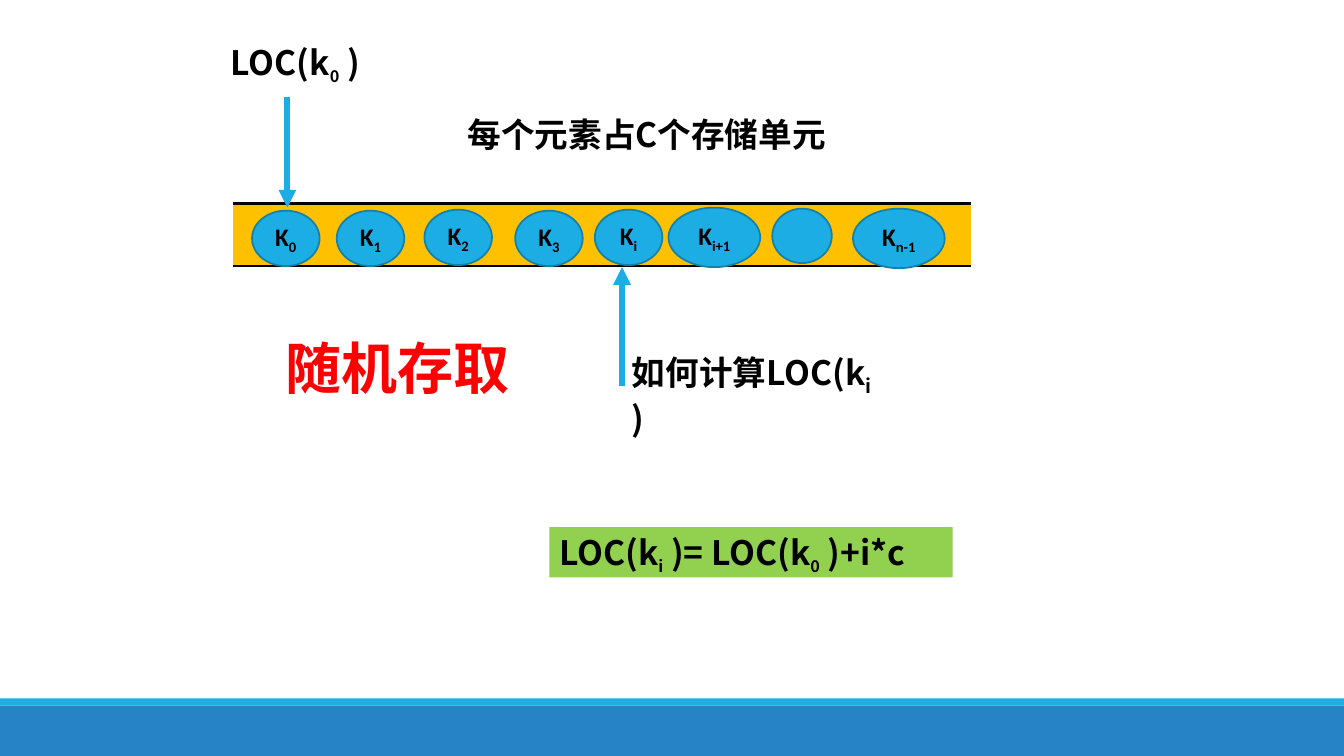
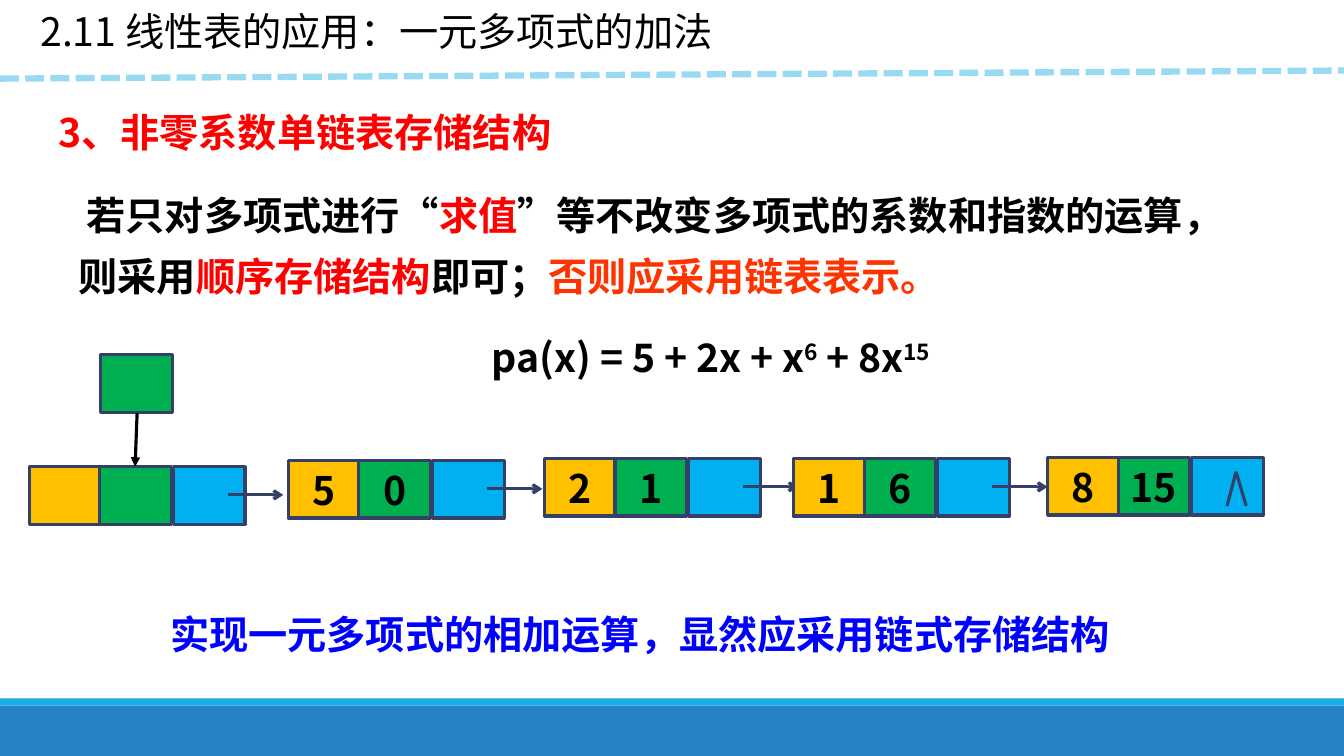
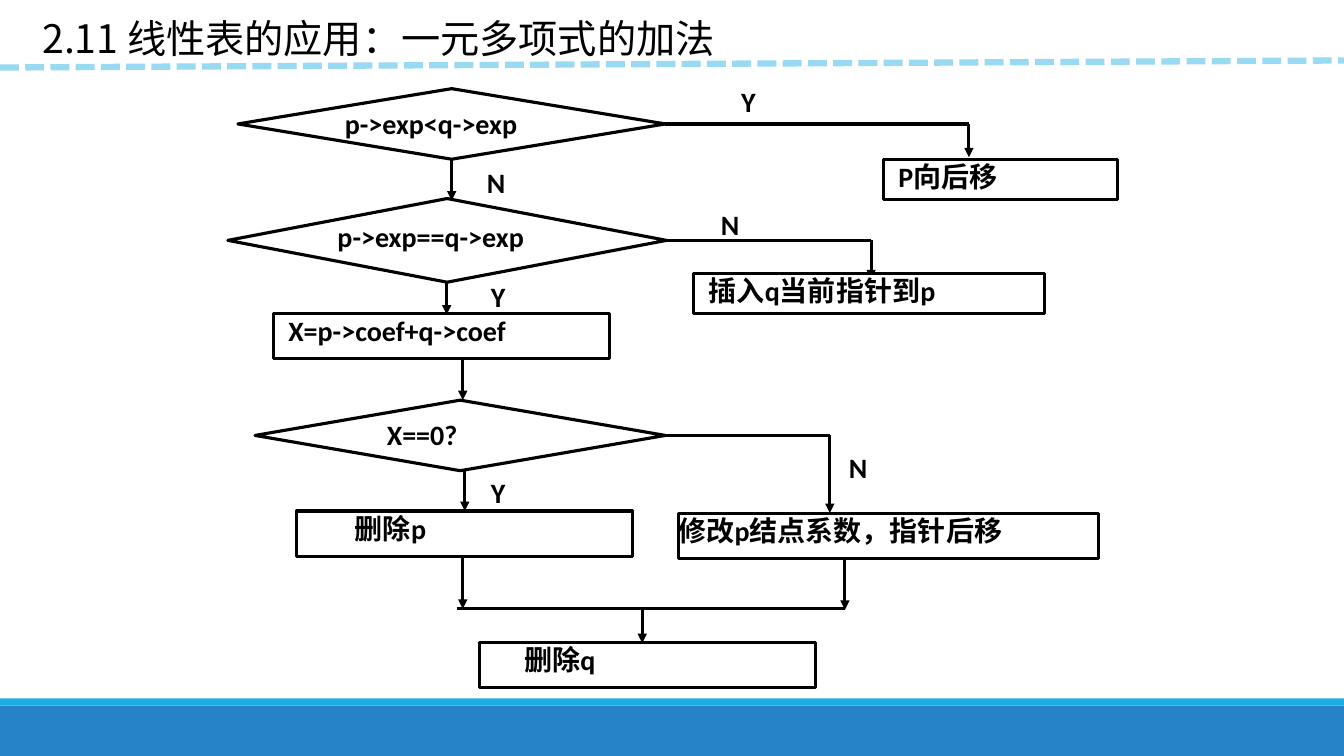
from dataclasses import dataclass

from lxml import etree
from pptx import Presentation
from pptx.dml.color import RGBColor
from pptx.enum.dml import MSO_LINE
from pptx.enum.shapes import MSO_CONNECTOR, MSO_SHAPE
from pptx.enum.text import MSO_ANCHOR, MSO_AUTO_SIZE, PP_ALIGN
from pptx.oxml.ns import qn
from pptx.util import Inches, Pt

RECTANGLE, OVAL, DIAMOND = MSO_SHAPE.RECTANGLE, MSO_SHAPE.OVAL, MSO_SHAPE.DIAMOND
STRAIGHT, DASHED = MSO_CONNECTOR.STRAIGHT, MSO_LINE.SQUARE_DOT
TOP, MIDDLE = MSO_ANCHOR.TOP, MSO_ANCHOR.MIDDLE
LEFT, CENTER = PP_ALIGN.LEFT, PP_ALIGN.CENTER
FIXED = MSO_AUTO_SIZE.NONE
PLAIN_TABLE = "{2D5ABB26-0587-4C30-8999-92F81FD0307C}"


@dataclass(frozen=True)
class Theme:
    """Colours, fonts and sizes shared by the slides."""

    width: float = 13.33
    height: float = 7.5
    black: str = "000000"
    white: str = "FFFFFF"
    red: str = "FF0000"
    orange_red: str = "FF3300"
    blue: str = "0000FF"
    band: str = "2683C6"
    accent: str = "1CADE4"
    accent_edge: str = "1580A9"
    divider: str = "99DAF3"
    amber: str = "FFC000"
    green: str = "00B050"
    sky: str = "00B0F0"
    lime: str = "92D050"
    navy: str = "344068"
    cjk_font: str = "Noto Sans CJK SC"
    latin_font: str = "Calibri"
    element_size: int = 18
    flow_size: int = 20
    note_size: int = 24
    text_size: int = 28
    banner_size: int = 40


THEME = Theme()
ELEMENT_TEXT = {"size": THEME.element_size, "font": THEME.latin_font}
FLOW_TEXT = {"size": THEME.flow_size, "font": THEME.latin_font}
NOTE_TEXT = {"size": THEME.note_size}
BODY_TEXT = {"size": THEME.text_size}
SUB = {"baseline": -25}
SMALL_SUB = {"baseline": -25, "size": THEME.flow_size}
SUPER = {"baseline": 30}
RED = {"color": THEME.red}


def apply(target, formats):
    """Set each attribute of target named in formats."""
    for attribute, value in formats.items():
        setattr(target, attribute, value)


def write(frame, runs, text, anchor=TOP, align=LEFT, spacing=1.0, indent=0, margin=None):
    """Fill a text frame with one paragraph of runs."""
    apply(frame, {"word_wrap": True, "auto_size": FIXED, "vertical_anchor": anchor})
    if margin is not None:
        sides = ("left", "right", "top", "bottom")
        apply(frame, {f"margin_{side}": Inches(margin) for side in sides})
    paragraph = frame.paragraphs[0]
    properties = paragraph._p.get_or_add_pPr()
    properties.set("marL", "0")
    properties.set("indent", str(Inches(indent)))
    etree.SubElement(properties, qn("a:buNone"))
    apply(paragraph, {"alignment": align, "line_spacing": spacing, "space_before": Pt(0)})
    for wording, changes in runs:
        look = {"font": THEME.cjk_font, "color": THEME.black, "bold": True, **text, **changes}
        run = paragraph.add_run()
        run.text = wording
        apply(run.font, {"size": Pt(look["size"]), "bold": look["bold"], "name": look["font"]})
        run.font.color.rgb = RGBColor.from_string(look["color"])
        run_properties = run._r.get_or_add_rPr()
        etree.SubElement(run_properties, qn("a:ea"), typeface=THEME.cjk_font)
        if "baseline" in look:
            run_properties.set("baseline", str(look["baseline"] * 1000))


def place(shape, box):
    """Move and size a shape to a box in inches."""
    apply(shape, dict(zip(("left", "top", "width", "height"), map(Inches, box))))


@dataclass
class Region:
    """A part of a slide whose contents are placed from its top left corner."""

    shapes: object
    left: float = 0
    top: float = 0

    def box(self, left, top, width, height):
        """Turn a box in the region into lengths on the slide."""
        return [Inches(n) for n in (self.left + left, self.top + top, width, height)]

    def shape(self, kind, box, fill, edge=None, weight=2.25):
        """Add a flat preset shape."""
        shape = self.shapes.add_shape(kind, *self.box(*box))
        shape.shadow.inherit = False
        shape.fill.solid()
        shape.fill.fore_color.rgb = RGBColor.from_string(fill)
        if edge:
            shape.line.color.rgb = RGBColor.from_string(edge)
            shape.line.width = Pt(weight)
        else:
            shape.line.fill.background()
        return shape

    def text(self, box, runs, text, **layout):
        """Add a text box."""
        write(self.shapes.add_textbox(*self.box(*box)).text_frame, runs, text, **layout)

    def line(self, start, end, color=THEME.black, weight=2.25, head=None, dash=None):
        """Add a straight line with an optional arrowhead."""
        ends = [Inches(n) for x, y in (start, end) for n in (self.left + x, self.top + y)]
        connector = self.shapes.add_connector(STRAIGHT, *ends)
        apply(connector.line, {"width": Pt(weight), "dash_style": dash})
        connector.line.color.rgb = RGBColor.from_string(color)
        properties = connector.element.spPr
        if head:
            etree.SubElement(properties.find(qn("a:ln")), qn("a:tailEnd"), type=head)
        etree.SubElement(properties, qn("a:effectLst"))


def add_master_bands(master, slide):
    """Put the two footer bands on the slide master."""
    region = Region(slide.shapes)
    tree = master.shapes.element
    for position, (top, height, color) in enumerate(
        [(7, 0.5, THEME.band), (6.93, 0.07, THEME.accent)], start=2
    ):
        band = region.shape(RECTANGLE, (0, top, THEME.width, height), color)
        tree.insert(position, band.element)


def add_heading(slide, box, rule_left_y, rule_right_y):
    """Place the section title and its dashed rule."""
    place(slide.shapes.title, box)
    write(
        slide.shapes.title.text_frame,
        [("2.11 线性表的应用：一元多项式的加法", {"bold": False})],
        BODY_TEXT,
    )
    Region(slide.shapes).line(
        (0, rule_left_y), (THEME.width, rule_right_y), THEME.divider, 4.5, dash=DASHED
    )


def add_storage_row(region):
    """Draw the storage strip with its elements and address arrows."""
    columns = 8
    strip = region.shapes.add_table(1, columns, *region.box(0, 0, 7.32, 0.62)).table
    apply(strip, {"first_row": False, "horz_banding": False})
    strip._tbl.tblPr.find(qn("a:tableStyleId")).text = PLAIN_TABLE
    for cell in strip.iter_cells():
        cell.fill.solid()
        cell.fill.fore_color.rgb = RGBColor.from_string(THEME.amber)
        properties = cell._tc.get_or_add_tcPr()
        for position, side in enumerate(("a:lnT", "a:lnB")):
            border = etree.Element(qn(side), w=str(Pt(2)))
            paint = etree.SubElement(border, qn("a:solidFill"))
            etree.SubElement(paint, qn("a:srgbClr"), val=THEME.black)
            properties.insert(position, border)
    small, large, blank = (0.67, 0.55), (0.91, 0.59), (0.59, 0.54)
    for left, top, size, index in [
        (0.19, 0.07, small, "0"),
        (5.35, 0.05, blank, None),
        (1.03, 0.07, small, "1"),
        (1.9, 0.06, small, "2"),
        (2.8, 0.07, small, "3"),
        (3.59, 0.06, small, "i"),
        (4.32, 0.04, large, "i+1"),
        (6.15, 0.05, large, "n-1"),
    ]:
        element = region.shape(OVAL, (left, top, *size), THEME.accent, THEME.accent_edge, 1.25)
        if index:
            runs = [("K", {}), (index, SUB)]
            write(element.text_frame, runs, ELEMENT_TEXT, MIDDLE, CENTER)
    for x, start, end in [(0.54, -1.06, 0.04), (3.86, 1.81, 0.63)]:
        region.line((x, start), (x, end), THEME.accent, 4.25, "triangle")


def add_address_notes(region):
    """Write the notes and the address formula around the strip."""
    formula = region.shape(RECTANGLE, (5.45, 5.23, 4, 0.5), THEME.lime)
    write(
        formula.text_frame,
        [("LOC(k", {}), ("i", SMALL_SUB), (" )= LOC(k", {}), ("0", SMALL_SUB), (" )+i*c", {})],
        NOTE_TEXT,
    )
    for box, runs in [
        ((2.19, 0.37, 1.56, 0.5), [("LOC(k", {}), ("0", SMALL_SUB), (" )", {})]),
        ((6.17, 3.44, 2.6, 0.5), [("如何计算LOC(k", {}), ("i", SUB), (" )", {})]),
        ((4.54, 1.08, 3.79, 0.5), [("每个元素占C个存储单元", {})]),
        ((2.73, 3.26, 2.45, 0.77), [("随机存取", {**RED, "size": THEME.banner_size})]),
    ]:
        region.text(box, runs, NOTE_TEXT)


def add_list_node(region, values, last=False):
    """Draw one three-part list node with its link or null mark."""
    cell_size = (0.71, 0.57)
    fills = (THEME.amber, THEME.green, THEME.sky)
    for left, fill, value in zip((0, 0.7, 1.43), fills, values):
        cell = region.shape(RECTANGLE, (left, 0, *cell_size), fill, THEME.navy)
        if value:
            write(cell.text_frame, [(value, {})], BODY_TEXT, MIDDLE, CENTER)
    if last:
        for foot in (1.78, 1.97):
            region.line((1.87, 0.14), (foot, 0.48), THEME.navy)
    else:
        region.line((1.97, 0.28), (2.52, 0.28), THEME.navy, head="arrow")


def add_polynomial_text(slide):
    """Write the explanation, polynomial and conclusion."""
    body = slide.placeholders[1]
    place(body, (0.68, 1.71, 11.19, 1.33))
    explanation = [
        ("若只对多项式进行“", {}),
        ("求值", RED),
        ("”等不改变多项式的系数和指数的运算，则采用", {}),
        ("顺序存储结构", RED),
        ("即可；", {}),
        ("否则应采用链表表示。", {"color": THEME.orange_red}),
    ]
    write(body.text_frame, explanation, BODY_TEXT, spacing=1.3, indent=0.08)
    polynomial = [("pa(x) = 5 + 2x + x", {}), ("6", SUPER), (" + 8x", {}), ("15", SUPER)]
    conclusion = [("实现一元多项式的相加运算，显然应采用链式存储结构", {"color": THEME.blue})]
    region = Region(slide.shapes)
    for box, runs, spacing in [
        ((0.48, 0.89, 5.43, 0.71), [("3、非零系数单链表存储结构", RED)], 1.3),
        ((4.78, 3.26, 5.14, 0.57), polynomial, 1.0),
        ((1.59, 5.87, 10.17, 0.71), conclusion, 1.3),
    ]:
        region.text(box, runs, BODY_TEXT, spacing=spacing)


def add_linked_list(slide):
    """Draw the head pointer and the chain of nodes."""
    nodes = [
        (0.29, 4.63, ("", "", "")),
        (2.86, 4.57, ("5", "0", "")),
        (5.4, 4.55, ("2", "1", "")),
        (7.87, 4.55, ("1", "6", "")),
        (10.39, 4.54, ("8", "15", "")),
    ]
    for node in nodes:
        left, top, values = node
        group = slide.shapes.add_group_shape()
        add_list_node(Region(group.shapes, left, top), values, node is nodes[-1])
    pointer = Region(slide.shapes, 1, 3.52)
    pointer.shape(RECTANGLE, (0, 0, 0.71, 0.57), THEME.green, THEME.navy)
    pointer.line((0.36, 0.58), (0.34, 1.11), head="triangle")


def add_flow_box(region, kind, box, wording, indent=0, edge=THEME.black):
    """Draw one flowchart part with its wording."""
    part = region.shape(kind, box, THEME.white, edge)
    write(part.text_frame, [(wording, {})], FLOW_TEXT, indent=indent, margin=0)


def add_flowchart(region):
    """Draw the comparison flowchart for polynomial addition."""
    decisions = [
        ((0.16, 0.08, 4.24, 0.7), "p->exp<q->exp", 0, 7.41, 0.76),
        ((0.06, 1.17, 4.35, 0.83), "p->exp==q->exp", 0, 6.44, 1.97),
        ((0.33, 3.17, 4.07, 0.7), "X==0?", 0.29, 6.03, 4.29),
    ]
    steps = [
        ((0.51, 2.31, 3.34, 0.45), "X=p->coef+q->coef", 0.15),
        ((0.74, 4.27, 3.33, 0.45), "删除p", 0.58),
        ((4.53, 4.29, 4.17, 0.45), "修改p结点系数，指针后移", 0),
        ((2.56, 5.57, 3.33, 0.45), "删除q", 0.44),
        ((6.56, 0.78, 2.32, 0.4), "P向后移", 0.15),
        ((4.68, 1.91, 3.48, 0.4), "插入q当前指针到p", 0.15),
    ]
    answers = [
        (2.63, 0.84, "N"),
        (2.67, 1.97, "Y"),
        (2.67, 3.92, "Y"),
        (6.22, 3.67, "N"),
        (5.15, 0.04, "Y"),
        (4.95, 1.26, "N"),
    ]
    arrows = [
        (2.28, 0.78, 1.19),
        (2.23, 2.01, 2.32),
        (2.39, 2.76, 3.17),
        (2.41, 3.86, 4.27),
        (2.39, 4.72, 5.24),
        (6.18, 4.75, 5.25),
        (4.17, 5.25, 5.58),
    ]
    for left, top, answer in answers:
        add_flow_box(region, RECTANGLE, (left, top, 0.77, 0.25), answer, edge=None)
    for x, start, end in arrows:
        region.line((x, start), (x, end), head="triangle")
    region.line((2.33, 5.24), (6.18, 5.24))
    for (left, top, width, height), _, _, turn, end in decisions:
        middle = top + height / 2
        region.line((left + width, middle), (turn, middle))
        region.line((turn, middle), (turn, end), head="triangle")
    for box, wording, indent, _, _ in decisions:
        add_flow_box(region, DIAMOND, box, wording, indent)
    for box, wording, indent in steps:
        add_flow_box(region, RECTANGLE, box, wording, indent)


def main():
    """Build the three slides and save them."""
    deck = Presentation()
    apply(deck, {"slide_width": Inches(THEME.width), "slide_height": Inches(THEME.height)})
    storage, linked, flow = (
        deck.slides.add_slide(deck.slide_layouts[number]) for number in (6, 1, 5)
    )
    add_master_bands(deck.slide_master, storage)

    add_storage_row(Region(storage.shapes, 2.31, 2.02))
    add_address_notes(Region(storage.shapes))

    add_heading(linked, (0.3, 0.02, 7.61, 0.57), 0.78, 0.7)
    add_polynomial_text(linked)
    add_linked_list(linked)

    add_flowchart(Region(flow.shapes, 2.2, 0.8))
    add_heading(flow, (0.32, 0.09, 7.62, 0.57), 0.67, 0.6)
    deck.save("out.pptx")


if __name__ == "__main__":
    main()
